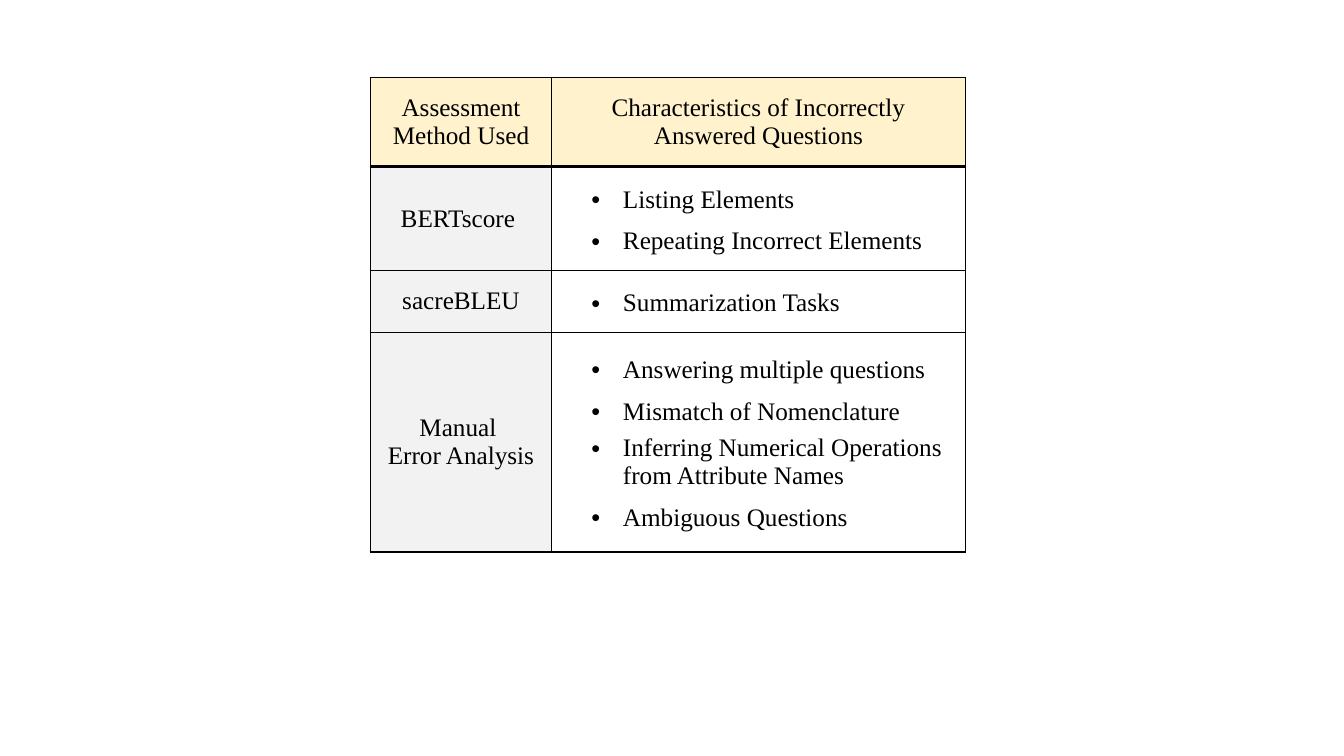
from dataclasses import dataclass

import pptx
import pptx.dml.color
import pptx.enum.text
import pptx.oxml
import pptx.oxml.ns
import pptx.util

Pt = pptx.util.Pt
RGBColor = pptx.dml.color.RGBColor
Align = pptx.enum.text.PP_ALIGN

BLACK = RGBColor(0x00, 0x00, 0x00)
WHITE = RGBColor(0xFF, 0xFF, 0xFF)
CREAM = RGBColor(0xFF, 0xF2, 0xCC)
GREY = RGBColor(0xF2, 0xF2, 0xF2)

COLUMN_WIDTHS = (129, 296)
FONT_FORMAT = {"name": "Times New Roman", "size": Pt(18), "bold": False}
LIST_MARGINS = {"margin_left": Pt(7.2), "margin_right": Pt(7.2),
                "margin_top": Pt(3.6), "margin_bottom": Pt(10.8)}
THIN, THICK = Pt(1), Pt(2)


@dataclass(frozen=True)
class Item:
    text: str
    line_spacing: float = 1.5
    before: float = 0
    after: float = 0


@dataclass(frozen=True)
class Method:
    name: str
    height: float
    items: tuple[Item, ...]


HEADER_HEIGHT = 63.4
HEADERS = ("Assessment Method Used", "Characteristics of Incorrectly Answered Questions")
METHODS = (
    Method("BERTscore ", 73.7, (
        Item("Listing Elements"),
        Item("Repeating Incorrect Elements", after=6))),
    Method("sacreBLEU", 38.2, (Item("Summarization Tasks"),)),
    Method("Manual \nError Analysis", 156.8, (
        Item("Answering multiple questions"),
        Item("Mismatch of Nomenclature"),
        Item("Inferring Numerical Operations from Attribute Names", line_spacing=1, before=6),
        Item("Ambiguous Questions"))),
)


def apply_format(target: object, values: dict) -> None:
    for name, value in values.items():
        setattr(target, name, value)


def write(para, text: str, values: dict) -> None:
    para.text = text
    apply_format(para, values)
    for span in para.runs:
        apply_format(span.font, FONT_FORMAT)
        span.font.color.rgb = BLACK


def add_bullet(para) -> None:
    properties = para._p.get_or_add_pPr()
    properties.set("marL", str(Pt(44)))
    properties.set("indent", str(-Pt(22.5)))
    namespace = pptx.oxml.ns.nsdecls("a")
    for tag in ('buFont {} typeface="Arial"', 'buChar {} char="•"'):
        properties.append(pptx.oxml.parse_xml(f"<a:{tag.format(namespace)}/>"))


def style_cell(cell, color: RGBColor, top: int = THIN, bottom: int = THIN) -> None:
    properties = cell._tc.get_or_add_tcPr()
    for side, width in (("L", THIN), ("R", THIN), ("T", top), ("B", bottom)):
        properties.append(pptx.oxml.parse_xml(
            f'<a:ln{side} {pptx.oxml.ns.nsdecls("a")} w="{width}">'
            f'<a:solidFill><a:srgbClr val="{BLACK}"/></a:solidFill></a:ln{side}>'))
    cell.fill.solid()
    cell.fill.fore_color.rgb = color
    cell.vertical_anchor = pptx.enum.text.MSO_ANCHOR.MIDDLE


def fill_list(cell, items: tuple[Item, ...]) -> None:
    apply_format(cell, LIST_MARGINS)
    for index, item in enumerate(items):
        para = cell.text_frame.add_paragraph() if index else cell.text_frame.paragraphs[0]
        write(para, item.text, {"line_spacing": item.line_spacing,
                                "space_before": Pt(item.before),
                                "space_after": Pt(item.after)})
        add_bullet(para)


def main() -> None:
    deck = pptx.Presentation()
    apply_format(deck, {"slide_width": Pt(960), "slide_height": Pt(540)})
    page = deck.slides.add_slide(deck.slide_layouts[6])

    # Table grid
    heights = (HEADER_HEIGHT, *(method.height for method in METHODS))
    table = page.shapes.add_table(
        len(heights), len(COLUMN_WIDTHS), Pt(264.8), Pt(55.6),
        Pt(sum(COLUMN_WIDTHS)), Pt(sum(heights))).table
    apply_format(table, {"first_row": False, "horz_banding": False})
    for column, width in zip(table.columns, COLUMN_WIDTHS):
        column.width = Pt(width)
    for row, height in zip(table.rows, heights):
        row.height = Pt(height)

    # Header row
    centred = {"alignment": Align.CENTER}
    for column, text in enumerate(HEADERS):
        cell = table.cell(0, column)
        style_cell(cell, CREAM, bottom=THICK)
        write(cell.text_frame.paragraphs[0], text, centred)

    # Assessment methods with their lists
    for row, method in enumerate(METHODS, start=1):
        name_cell, list_cell = table.cell(row, 0), table.cell(row, 1)
        top = THICK if row == 1 else THIN
        style_cell(name_cell, GREY, top=top)
        style_cell(list_cell, WHITE, top=top)
        write(name_cell.text_frame.paragraphs[0], method.name, centred)
        fill_list(list_cell, method.items)

    deck.save("out.pptx")


if __name__ == "__main__":
    main()
